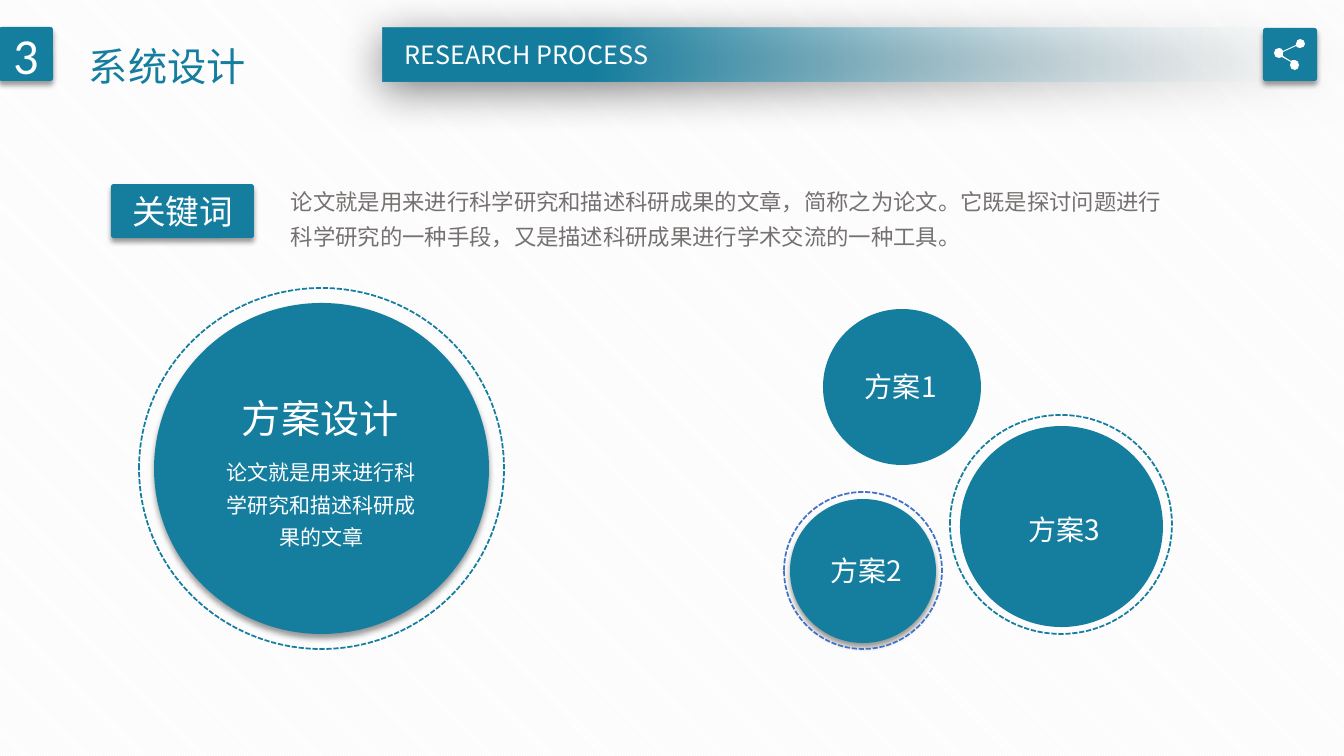
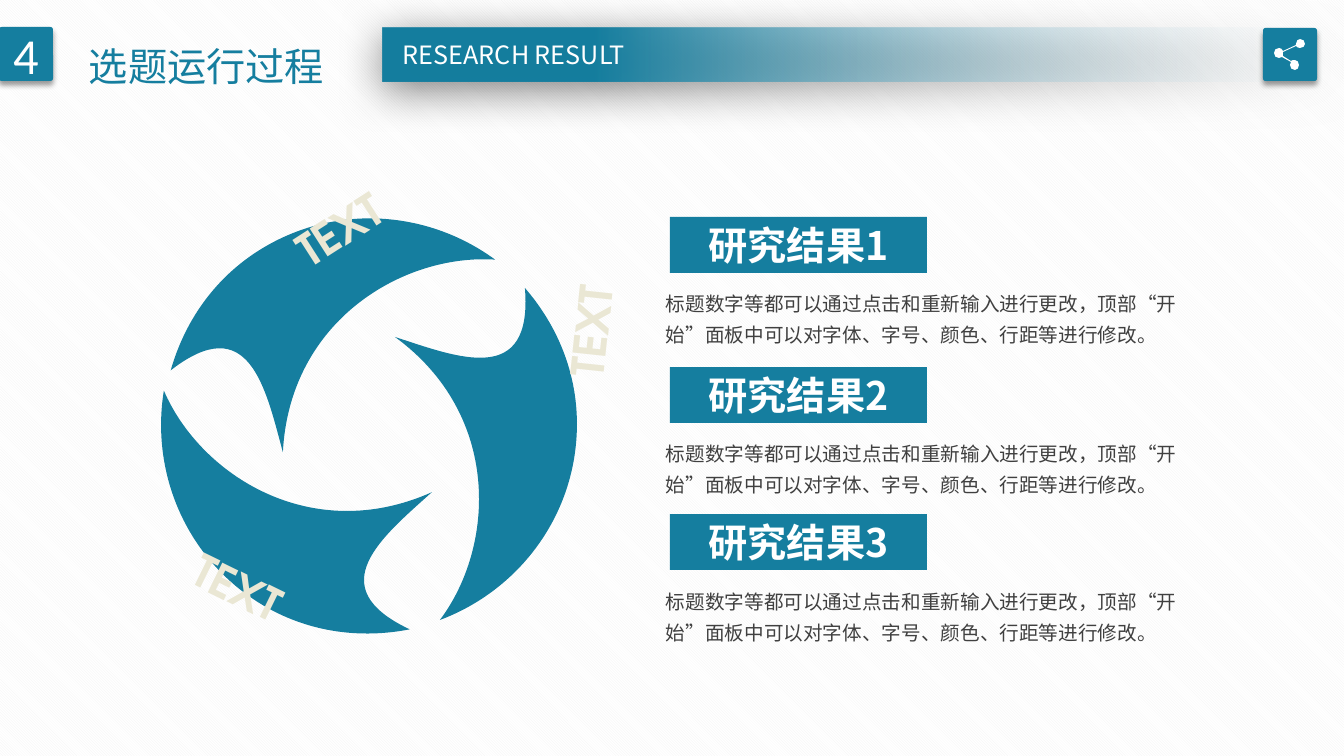
import lxml.etree
import pptx
import pptx.dml.color
import pptx.enum.dml
import pptx.enum.shapes
import pptx.enum.text
import pptx.oxml.ns
import pptx.util

PX = 9144000 / 1008
SHAPE = pptx.enum.shapes.MSO_SHAPE
ALIGN = pptx.enum.text.PP_ALIGN
ANCHOR = pptx.enum.text.MSO_ANCHOR
qn = pptx.oxml.ns.qn

COLORS = {
    "teal": "157E9F", "white": "FFFFFF", "stripe": "F2F2F2", "fade": "F7FAFD",
    "blue": "4472C4", "gray": "767171", "dark": "404040", "cream": "EAE7D4",
    "black": "000000",
}
CJK = "Noto Sans CJK SC"
# alpha %, blur pt, distance pt, direction in degrees
SOFT = (40, 4, 3, 90)
WIDE = (50, 31, 6, 97)

# An outline is a start point, then edges: one point is a line,
# three are a cubic curve (two controls and the end).
SHARE_ICON = [
    (1300, 39),
    [(1298, 39), (1296, 41), (1296, 44)], [(1296, 44), (1296, 45), (1296, 45)],
    [(1283, 51)],
    [(1282, 49), (1281, 48), (1279, 48)], [(1276, 48), (1274, 50), (1274, 53)],
    [(1274, 56), (1276, 58), (1279, 58)], [(1280, 58), (1281, 57), (1282, 57)],
    [(1291, 62)],
    [(1290, 63), (1290, 64), (1290, 65)], [(1290, 68), (1292, 70), (1295, 70)],
    [(1297, 70), (1299, 68), (1299, 65)], [(1299, 62), (1297, 60), (1295, 60)],
    [(1293, 60), (1292, 60), (1291, 61)],
    [(1283, 56)],
    [(1283, 55), (1283, 54), (1283, 53)], [(1283, 53), (1283, 52), (1283, 52)],
    [(1296, 46)],
    [(1297, 47), (1298, 48), (1300, 48)], [(1303, 48), (1305, 46), (1305, 44)],
    [(1305, 41), (1303, 39), (1300, 39)],
]
BLADE = [
    (525, 288),
    [(557, 325), (577, 372), (577, 424)],
    [(577, 514), (520, 590), (440, 620)],
    [(495, 547), (502, 415), (395, 337)],
    [(459, 358), (533, 387), (525, 288)],
]

KEYWORD = "关键词"
KEYWORD_TEXT = ("论文就是用来进行科学研究和描述科研成果的文章，简称之为论文。它既是探讨问题进行"
                "科学研究的一种手段，又是描述科研成果进行学术交流的一种工具。")
DESIGN = "方案设计"
DESIGN_TEXT = "论文就是用来进行科学研究和描述科研成果的文章"
# box, shadow
DISCS = [
    ((154, 303, 335, 331), SOFT),
    ((823, 309, 158, 156), None),
    ((790, 499, 146, 144), SOFT),
    ((960, 426, 203, 201), None),
]
# box, colour
RINGS = [
    ((139, 288, 365, 361), "teal"),
    ((784, 492, 158, 157), "blue"),
    ((950, 415, 222, 219), "teal"),
]
PLANS = [("方案1", 855, 365), ("方案2", 821, 549), ("方案3", 1019, 508)]

# left, top, rotation
BLADES = [(395, 288, 0), (240, 146, 236.8), (194, 347, 119.8)]
# centre x, centre y, rotation
BLADE_LABELS = [(339, 229, 327.3), (238, 587, 26.1), (591, 331, 276.1)]
# name, top of the tag, top of the text
RESULTS = [("研究结果1", 217, 280), ("研究结果2", 367, 430), ("研究结果3", 514, 578)]
RESULT_TEXT = ("标题数字等都可以通过点击和重新输入进行更改，顶部“开始”面板中可以对"
               "字体、字号、颜色、行距等进行修改。")


def emu(*lengths):
    return [round(n * PX) for n in lengths]


def rgb(name):
    return pptx.dml.color.RGBColor.from_string(COLORS[name])


def write(sp, text, size, color="white", font=CJK, bold=False,
          align=ALIGN.LEFT, anchor=ANCHOR.TOP, spacing=None):
    tf = sp.text_frame
    tf.word_wrap = True
    tf.vertical_anchor = anchor
    p = tf.paragraphs[0]
    p.alignment = align
    if spacing:
        p.line_spacing = spacing
    r = p.add_run()
    r.text = text
    r.font.size = pptx.util.Pt(size)
    r.font.bold = bold
    r.font.color.rgb = rgb(color)
    r.font.name = font
    ea = lxml.etree.SubElement(r.font._element, qn("a:ea"))
    ea.set("typeface", CJK)


def text_box(slide, box, text, size, **fmt):
    sp = slide.shapes.add_textbox(*emu(*box))
    write(sp, text, size, **fmt)
    return sp


def style(sp, fill="teal", shadow=None):
    """Give a shape a plain fill, no outline and, if asked, an outer shadow."""
    sp.fill.solid()
    sp.fill.fore_color.rgb = rgb(fill)
    sp.line.fill.background()
    sp.shadow.inherit = False
    if shadow:
        alpha, blur, dist, angle = shadow
        effects = sp.element.spPr.find(qn("a:effectLst"))
        outer = lxml.etree.SubElement(effects, qn("a:outerShdw"), {
            "blurRad": str(blur * 12700), "dist": str(dist * 12700),
            "dir": str(angle * 60000), "algn": "ctr", "rotWithShape": "0"})
        clr = lxml.etree.SubElement(outer, qn("a:srgbClr"), val=COLORS["black"])
        lxml.etree.SubElement(clr, qn("a:alpha"), val=str(alpha * 1000))
    return sp


def add_shape(slide, kind, box, fill="teal", shadow=None):
    return style(slide.shapes.add_shape(kind, *emu(*box)), fill, shadow)


def add_badge(slide, box):
    sp = add_shape(slide, SHAPE.ROUNDED_RECTANGLE, box, shadow=SOFT)
    sp.adjustments[0] = 0.05
    return sp


def add_ring(slide, box, color):
    sp = add_shape(slide, SHAPE.OVAL, box)
    sp.fill.background()
    sp.line.color.rgb = rgb(color)
    sp.line.width = pptx.util.Pt(1.25)
    sp.line.dash_style = pptx.enum.dml.MSO_LINE.SQUARE_DOT


def add_outline(slide, outline, fill="teal"):
    """Draw an outline of lines and curves.

    The builder only knows lines, so each curve's three points are added as
    lines and then gathered into one curve element.
    """
    start, *edges = outline
    builder = slide.shapes.build_freeform(*emu(*start))
    builder.add_line_segments([emu(*pt) for edge in edges for pt in edge])
    sp = builder.convert_to_shape()
    lines = iter(list(sp.element.spPr.iter(qn("a:lnTo"))))
    for edge in edges:
        parts = [next(lines) for _ in edge]
        if len(parts) == 3:
            curve = lxml.etree.Element(qn("a:cubicBezTo"))
            parts[0].addprevious(curve)
            for part in parts:
                curve.append(part[0])
                part.getparent().remove(part)
    outline_end = next(sp.element.spPr.iter(qn("a:moveTo"))).getparent()
    lxml.etree.SubElement(outline_end, qn("a:close"))
    return style(sp, fill)


def add_banner(slide, text, left):
    sp = add_shape(slide, SHAPE.RECTANGLE, (383, 28, 961, 53), shadow=WIDE)
    sp.fill.gradient()
    sp.fill.gradient_angle = 180
    fade, solid = sp.fill.gradient_stops
    fade.color.rgb, fade.position = rgb("fade"), 0
    solid.color.rgb, solid.position = rgb("teal"), 0.78
    clr = next(sp.element.spPr.iter(qn("a:srgbClr")))
    lxml.etree.SubElement(clr, qn("a:alpha"), val="0")
    text_box(slide, (left, 34, 271, 40), text, 18)


def new_slide(prs, number, title, banner, banner_left):
    """Add a slide with the striped background and the shared header."""
    slide = prs.slides.add_slide(prs.slide_layouts[6])
    fill = slide.background.fill
    fill.patterned()
    fill.pattern = pptx.enum.dml.MSO_PATTERN.DARK_DOWNWARD_DIAGONAL
    fill.fore_color.rgb = rgb("stripe")
    fill.back_color.rgb = rgb("white")
    add_banner(slide, banner, banner_left)
    write(add_badge(slide, (-1, 27, 54, 54)), number, 36, font="Calibri",
          align=ALIGN.CENTER, anchor=ANCHOR.MIDDLE)
    add_badge(slide, (1263, 28, 54, 53))
    add_outline(slide, SHARE_ICON, "white")
    text_box(slide, (79, 14, 268, 82), title, 28, color="teal", spacing=1.5)
    return slide


def build_design(prs):
    slide = new_slide(prs, "3", "系统设计", "RESEARCH PROCESS", 395)
    for box, shadow in DISCS:
        add_shape(slide, SHAPE.OVAL, box, shadow=shadow)
    for box, color in RINGS:
        add_ring(slide, box, color)
    text_box(slide, (232, 366, 179, 82), DESIGN, 28, spacing=1.5)
    text_box(slide, (212, 447, 219, 109), DESIGN_TEXT, 15,
             align=ALIGN.CENTER, spacing=1.3)
    for name, x, y in PLANS:
        text_box(slide, (x, y, 112, 44), name, 20)
    write(add_badge(slide, (111, 184, 143, 54)), KEYWORD, 24, font="Calibri",
          align=ALIGN.CENTER, anchor=ANCHOR.MIDDLE)
    text_box(slide, (281, 175, 908, 81), KEYWORD_TEXT, 16,
             color="gray", spacing=1.3)


def build_results(prs):
    slide = new_slide(prs, "4", "选题运行过程", "RESEARCH RESULT", 393)
    for left, top, rotation in BLADES:
        sp = add_outline(slide, BLADE)
        sp.left, sp.top = emu(left, top)
        sp.rotation = rotation
    for x, y, rotation in BLADE_LABELS:
        sp = text_box(slide, (x - 56, y - 32, 112, 64), "TEXT", 32,
                      color="cream", font="TeX Gyre Adventor", bold=True,
                      align=ALIGN.CENTER, anchor=ANCHOR.MIDDLE)
        sp.rotation = rotation
    for name, tag_top, text_top in RESULTS:
        tag = add_shape(slide, SHAPE.RECTANGLE, (670, tag_top, 257, 56))
        write(tag, name, 28, bold=True, align=ALIGN.CENTER, anchor=ANCHOR.MIDDLE)
        text_box(slide, (656, text_top, 586, 72), RESULT_TEXT, 14,
                 color="dark", spacing=1.3)


def main():
    prs = pptx.Presentation()
    prs.slide_width, prs.slide_height = emu(1344, 756)
    build_design(prs)
    build_results(prs)
    prs.save("out.pptx")


if __name__ == "__main__":
    main()
